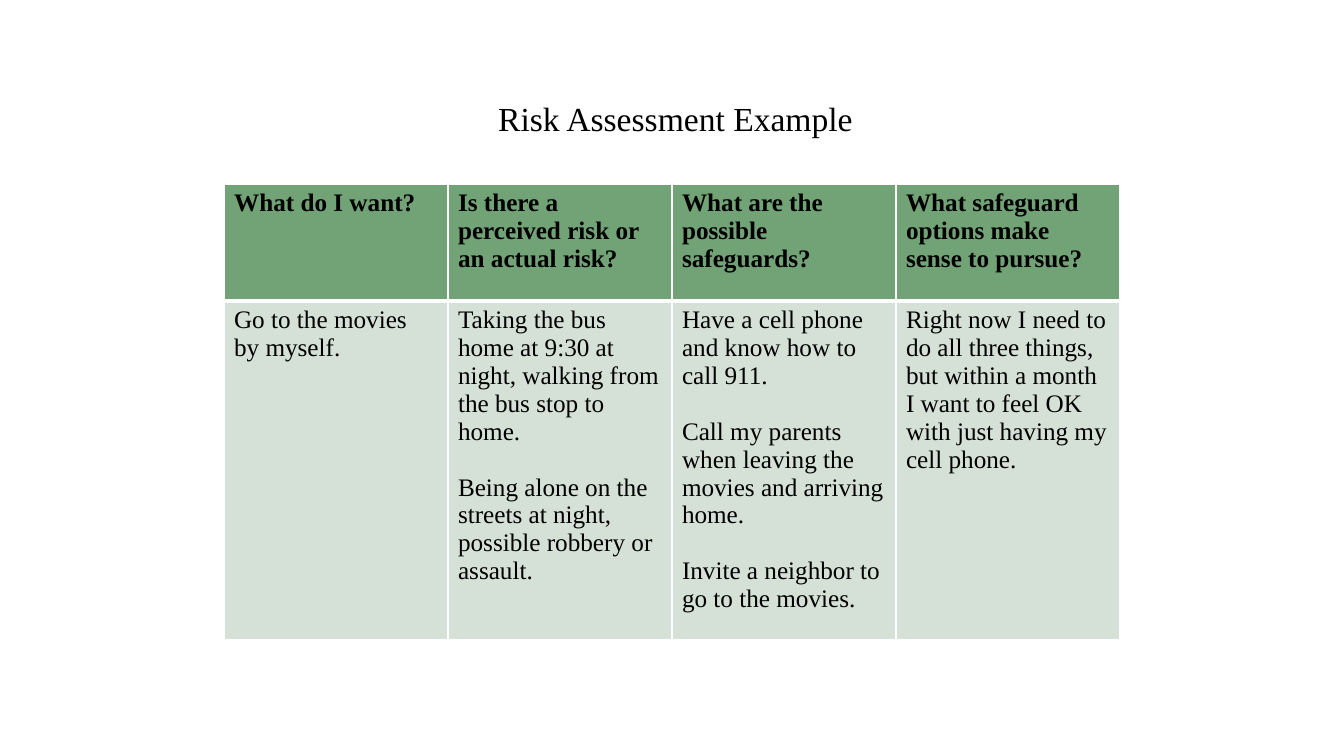
from lxml.etree import SubElement
from pptx import Presentation
from pptx.dml.color import RGBColor
from pptx.enum.text import MSO_ANCHOR, MSO_AUTO_SIZE, PP_ALIGN
from pptx.oxml.ns import qn
from pptx.util import Emu, Pt

EMU_PER_INCH = 914400
PX_PER_INCH = 100.8
BLACK = RGBColor(0x00, 0x00, 0x00)
WHITE = RGBColor(0xFF, 0xFF, 0xFF)
GREEN = RGBColor(0x72, 0xA3, 0x76)
PALE_GREEN = RGBColor(0xD5, 0xE0, 0xD6)

TITLE_FONT = {"name": "Times New Roman", "size": Pt(24), "bold": False}
HEADER_FONT = {"name": "Times New Roman", "size": Pt(18), "bold": True}
ANSWER_FONT = HEADER_FONT | {"bold": False}
HEADER_BORDERS = {"lnL": 1, "lnR": 1, "lnT": 1, "lnB": 3}
ANSWER_BORDERS = {"lnL": 1, "lnR": 1, "lnT": 3, "lnB": 1}
PARAGRAPH_GAP = Pt(20)

COLUMN_WIDTH = 224
HEADER_HEIGHT = 117
ANSWER_HEIGHT = 287

ASSESSMENT = [
    ("What do I want?", ["Go to the movies by myself."]),
    ("Is there a perceived risk or an actual risk?", [
        "Taking the bus home at 9:30 at night, walking from the bus stop to home.",
        "Being alone on the streets at night, possible robbery or assault.",
    ]),
    ("What are the possible safeguards?", [
        "Have a cell phone and know how to call 911.",
        "Call my parents when leaving the movies and arriving home.",
        "Invite a neighbor to go to the movies.",
    ]),
    ("What safeguard options make sense to pursue?", [
        "Right now I need to do all three things, but within a month "
        "I want to feel OK with just having my cell phone.",
    ]),
]


def px(length):
    return Emu(round(length * EMU_PER_INCH / PX_PER_INCH))


def apply_format(target, values):
    for attribute, value in values.items():
        setattr(target, attribute, value)


def write_run(paragraph, wording, font_values):
    run = paragraph.add_run()
    run.text = wording
    apply_format(run.font, font_values)
    run.font.color.rgb = BLACK


def add_title(slide, wording):
    title = slide.shapes.title
    apply_format(title, {"left": px(263), "top": px(93), "width": px(825), "height": px(50)})
    apply_format(title.text_frame, {
        "word_wrap": True,
        "auto_size": MSO_AUTO_SIZE.SHAPE_TO_FIT_TEXT,
        "vertical_anchor": MSO_ANCHOR.TOP,
    })
    heading = title.text_frame.paragraphs[0]
    heading.alignment = PP_ALIGN.CENTER
    write_run(heading, wording, TITLE_FONT)


def add_borders(cell, widths):
    properties = cell._tc.get_or_add_tcPr()
    for edge, width in widths.items():
        line = SubElement(properties, qn(f"a:{edge}"), w=str(Pt(width)))
        paint = SubElement(line, qn("a:solidFill"))
        SubElement(paint, qn("a:srgbClr"), val=str(WHITE))


def fill_cell(cell, statements, fill_color, font_values, borders):
    add_borders(cell, borders)
    cell.fill.solid()
    cell.fill.fore_color.rgb = fill_color
    frame = cell.text_frame
    for index, statement in enumerate(statements):
        paragraph = frame.add_paragraph() if index else frame.paragraphs[0]
        if index:
            paragraph.space_before = PARAGRAPH_GAP
        write_run(paragraph, statement, font_values)


def add_assessment(slide):
    assessment = slide.shapes.add_table(
        2, len(ASSESSMENT), px(224), px(184),
        px(COLUMN_WIDTH * len(ASSESSMENT)), px(HEADER_HEIGHT + ANSWER_HEIGHT),
    ).table
    for row, height in zip(assessment.rows, (HEADER_HEIGHT, ANSWER_HEIGHT)):
        row.height = px(height)
    for index, (question, answers) in enumerate(ASSESSMENT):
        assessment.columns[index].width = px(COLUMN_WIDTH)
        fill_cell(assessment.cell(0, index), [question], GREEN, HEADER_FONT, HEADER_BORDERS)
        fill_cell(assessment.cell(1, index), answers, PALE_GREEN, ANSWER_FONT, ANSWER_BORDERS)


def main():
    presentation = Presentation()
    apply_format(presentation, {"slide_width": px(1344), "slide_height": px(756)})
    slide = presentation.slides.add_slide(presentation.slide_layouts[5])
    add_title(slide, "Risk Assessment Example")
    add_assessment(slide)
    presentation.save("out.pptx")


if __name__ == "__main__":
    main()
